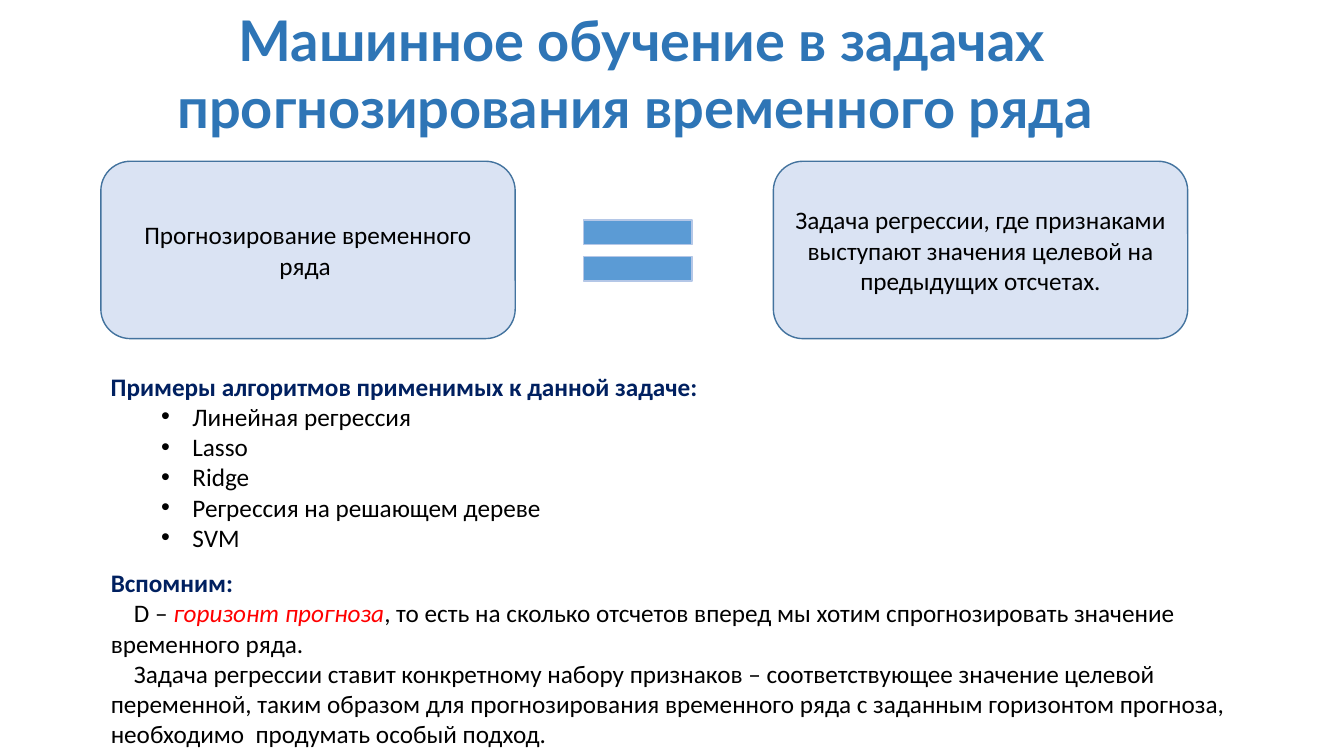
import pptx
import pptx.dml.color
import pptx.enum.shapes
import pptx.enum.text
import pptx.oxml
import pptx.oxml.ns
import pptx.util
from dataclasses import dataclass


@dataclass(frozen=True)
class Theme:
    heading_font: str = "Lato"
    body_font: str = "Calibri"
    heading_size: int = 40
    body_size: int = 18
    heading: str = "2E75B6"
    subheading: str = "002060"
    body: str = "000000"
    term: str = "FF0000"
    card_fill: str = "DAE3F3"
    card_line: str = "43739E"
    sign_fill: str = "5B9BD5"
    sign_line: str = "B4C7E7"


theme = Theme()
rgb = pptx.dml.color.RGBColor.from_string
shapes = pptx.enum.shapes.MSO_SHAPE
anchors = pptx.enum.text.MSO_ANCHOR
center = pptx.enum.text.PP_ALIGN.CENTER
PX = 9144  # EMU in a px, 100 px to the inch


def write(para, text, font=theme.body_font, size=theme.body_size,
          color=theme.body, bold=False, italic=False, align=None,
          margin=0, indent=0, bullet=None):
    """Add a span to the paragraph and set the paragraph's layout."""
    span = para.add_run()
    span.text = text
    span.font.name = font
    span.font.size = pptx.util.Pt(size)
    span.font.color.rgb = rgb(color)
    span.font.bold = bold
    span.font.italic = italic
    if align is not None:
        para.alignment = align
    if margin or indent:
        properties = para._p.get_or_add_pPr()
        properties.set("marL", str(margin * PX))
        properties.set("indent", str(indent * PX))
        if bullet:
            namespace = pptx.oxml.ns.nsdecls("a")
            for tag in (f'<a:buFont {namespace} typeface="Arial"/>',
                        f'<a:buChar {namespace} char="{bullet}"/>'):
                properties.append(pptx.oxml.parse_xml(tag))


def add_flat_shape(kind, box, fill, line):
    shape = page.shapes.add_shape(kind, *(side * PX for side in box))
    shape.shadow.inherit = False
    shape.fill.solid()
    shape.fill.fore_color.rgb = rgb(fill)
    shape.line.color.rgb = rgb(line)
    shape.line.width = pptx.util.Pt(1)
    return shape


deck = pptx.Presentation()
deck.slide_width, deck.slide_height = 1333 * PX, 750 * PX
page = deck.slides.add_slide(deck.slide_layouts.get_by_name("Title Only"))

# Title
title = page.shapes.title
title.left, title.top, title.width, title.height = 13 * PX, 0, 1247 * PX, 145 * PX
title.text_frame.auto_size = pptx.enum.text.MSO_AUTO_SIZE.NONE
title.text_frame.vertical_anchor = anchors.TOP
write(title.text_frame.paragraphs[0],
      "Машинное обучение в задачах прогнозирования временного ряда ",
      font=theme.heading_font, size=theme.heading_size,
      color=theme.heading, bold=True, align=center)

# Two equivalent tasks
add_flat_shape(shapes.MATH_EQUAL, (559, 197, 147, 103),
               theme.sign_fill, theme.sign_line)
tasks = [
    (100, "Прогнозирование временного ряда "),
    (767, "Задача регрессии, где признаками выступают значения целевой "
          "на предыдущих отсчетах."),
]
for left, text in tasks:
    card = add_flat_shape(shapes.ROUNDED_RECTANGLE, (left, 160, 411, 176),
                          theme.card_fill, theme.card_line)
    card.text_frame.word_wrap = True
    card.text_frame.vertical_anchor = anchors.MIDDLE
    write(card.text_frame.paragraphs[0], text, align=center)

# Text blocks: a subheading, then paragraphs made of spans
algorithms = ["Линейная регрессия", "Lasso", "Ridge",
              "Регрессия на решающем дереве", "SVM"]
bulleted = dict(margin=81, indent=-31, bullet="•")
indented = dict(indent=23)
blocks = [
    (363, 1100, "Примеры алгоритмов применимых к данной задаче:", bulleted,
     [[(name, {})] for name in algorithms]),
    (558, 1171, "Вспомним:", indented, [
        [("D – ", {}),
         ("горизонт прогноза", dict(color=theme.term, italic=True)),
         (", то есть на сколько отсчетов вперед мы хотим спрогнозировать "
          "значение временного ряда.", {})],
        [("Задача регрессии ставит конкретному набору признаков – "
          "соответствующее значение целевой переменной, таким образом для "
          "прогнозирования временного ряда с заданным горизонтом прогноза, "
          "необходимо  продумать особый подход.", {})],
    ]),
]
for top, width, subheading, layout, paragraphs in blocks:
    box = page.shapes.add_textbox(100 * PX, top * PX, width * PX, 192 * PX)
    box.text_frame.word_wrap = True
    write(box.text_frame.paragraphs[0], subheading,
          color=theme.subheading, bold=True)
    for spans in paragraphs:
        para = box.text_frame.add_paragraph()
        for position, (text, look) in enumerate(spans):
            write(para, text, **look, **(layout if position == 0 else {}))

deck.save("out.pptx")
